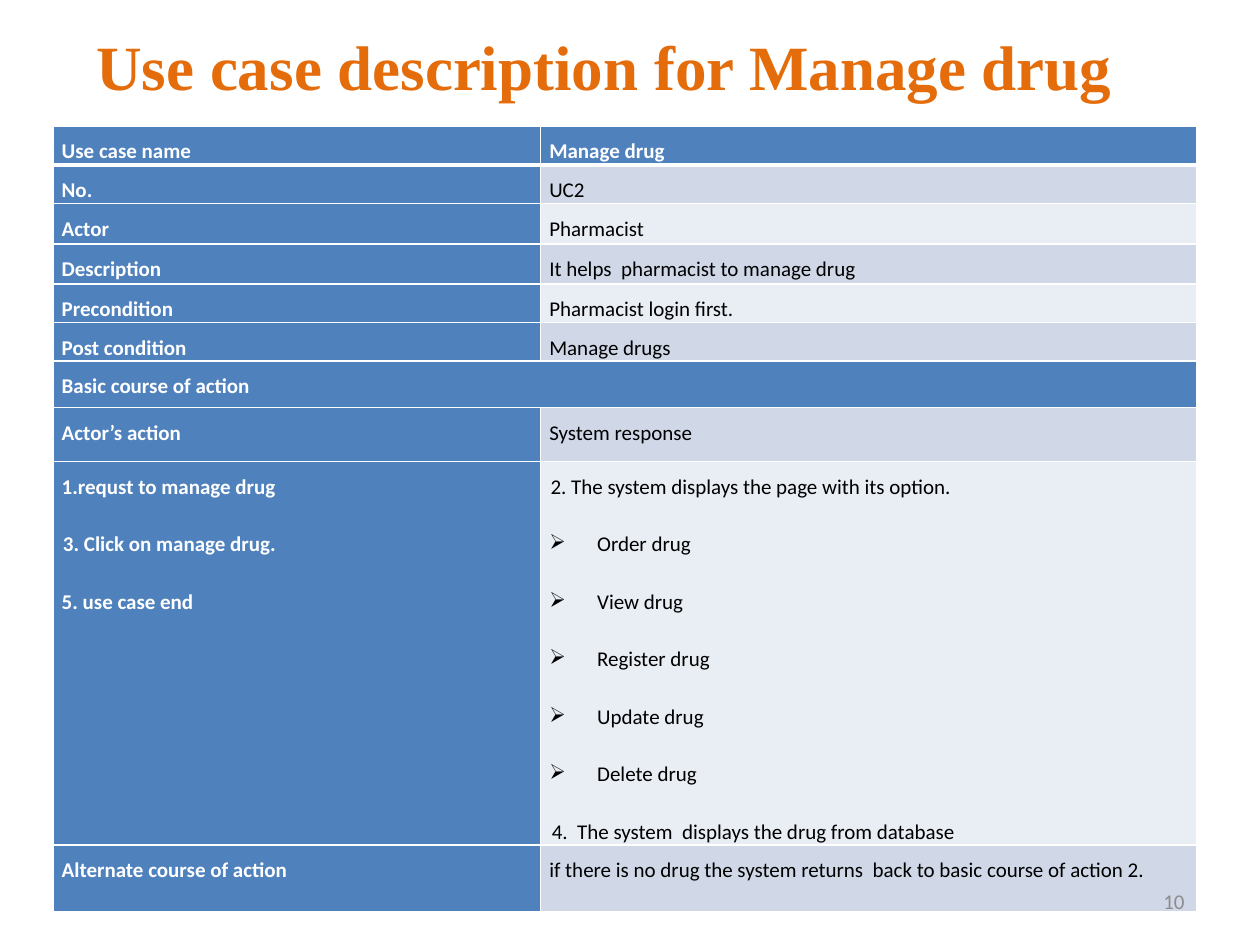
from dataclasses import dataclass

from lxml.etree import SubElement as Sub
from pptx import Presentation
from pptx.dml.color import RGBColor as RGB
from pptx.enum.text import MSO_ANCHOR as Anchor, PP_ALIGN as Align
from pptx.oxml.ns import qn
from pptx.util import Inches, Pt


@dataclass(frozen=True)
class Theme:
    title: str = "E46C0A"
    head: str = "4F81BD"
    bands: tuple = ("E9EDF4", "D0D8E8")
    white: str = "FFFFFF"
    black: str = "000000"
    gray: str = "8C8C8C"
    serif: str = "Times New Roman"
    sans: str = "Calibri"
    big: int = 36
    small: int = 12


@dataclass(frozen=True)
class Line:
    text: str
    after: float = 10
    left: float = 0
    mark: str = ""


THEME = Theme()
COLS = (3.87, 5.21)
HANG = 0.38
OPTIONS = ("Order drug", "View drug", "Register drug", "Update drug", "Delete drug")

# Row height, left cell, right cell (None: the left cell spans both columns)
ROWS = (
    (0.31, "Use case name", "Manage drug"),
    (0.29, "No.", "UC2"),
    (0.32, "Actor", "Pharmacist"),
    (0.32, "Description", "It helps  pharmacist to manage drug"),
    (0.29, "Precondition", "Pharmacist login first."),
    (0.29, "Post condition", "Manage drugs"),
    (0.37, "Basic course of action", None),
    (0.43, "Actor’s action", "System response"),
    (
        2.92,
        (
            Line("1.requst to manage drug", 10.9),
            Line("3. Click on manage drug.", 10.9, 0.01),
            Line("5. use case end"),
        ),
        (
            Line("2. The system displays the page with its option.", 10.9, 0.01),
            *(Line(name, 10.9, HANG, "➢") for name in OPTIONS),
            Line("4.  The system  displays the drug from database", 10.1, 0.02),
        ),
    ),
    (0.53, "Alternate course of action",
     "if there is no drug the system returns  back to basic course of action 2."),
)


def style(para, size, face, color, bold=False):
    for run in para.runs:
        font = run.font
        font.size, font.name, font.bold = Pt(size), face, bold
        font.color.rgb = RGB.from_string(color)


def add_title(slide, text):
    title = slide.shapes.title
    title.left, title.top = Inches(0.42), Inches(0.03)
    title.width, title.height = Inches(8.75), Inches(0.97)
    frame = title.text_frame
    frame.text = text
    frame.vertical_anchor = Anchor.MIDDLE
    para = frame.paragraphs[0]
    para.alignment = Align.CENTER
    style(para, THEME.big, THEME.serif, THEME.title, True)


def set_edges(cell, base):
    props = cell._tc.get_or_add_tcPr()
    for side, width in (("L", 1), ("R", 1), ("T", 1), ("B", base)):
        edge = Sub(props, qn(f"a:ln{side}"), w=str(Pt(width)))
        Sub(Sub(edge, qn("a:solidFill")), qn("a:srgbClr"), val=THEME.white)


def set_line(para, line, color, bold):
    para.text = line.text
    para.alignment = Align.JUSTIFY
    para.line_spacing = 1.5
    para.space_after = Pt(line.after)
    props = para._p.get_or_add_pPr()
    props.set("marL", str(Inches(line.left)))
    props.set("indent", str(-Inches(line.left) if line.mark else 0))
    if line.mark:
        Sub(props, qn("a:buChar"), char=line.mark)
    style(para, THEME.small, THEME.sans, color, bold)


def fill_cell(cell, item, fill, head, base):
    cell.margin_left = cell.margin_right = Inches(0.07)
    cell.margin_top = cell.margin_bottom = 0
    set_edges(cell, base)
    cell.fill.solid()
    cell.fill.fore_color.rgb = RGB.from_string(fill)
    lines = (Line(item),) if isinstance(item, str) else item
    frame = cell.text_frame
    for i, line in enumerate(lines):
        para = frame.add_paragraph() if i else frame.paragraphs[0]
        set_line(para, line, THEME.white if head else THEME.black, head)


def add_grid(slide):
    frame = slide.shapes.add_table(
        len(ROWS), len(COLS), Inches(0.42), Inches(1),
        Inches(sum(COLS)), Inches(sum(row[0] for row in ROWS)))
    table = frame.table
    table.first_col = True
    for col, width in zip(table.columns, COLS):
        col.width = Inches(width)
    for r, (height, *items) in enumerate(ROWS):
        table.rows[r].height = Inches(height)
        if items[1] is None:
            table.cell(r, 0).merge(table.cell(r, 1))
        for c, item in enumerate(items):
            head = r == 0 or c == 0
            fill = THEME.head if head or item is None else THEME.bands[r % 2]
            fill_cell(table.cell(r, c), item or (), fill, head, 1 if r else 3)


def add_number(slide, text):
    box = slide.shapes.add_textbox(
        Inches(7.17), Inches(6.95), Inches(2.33), Inches(0.4))
    frame = box.text_frame
    frame.word_wrap = True
    frame.vertical_anchor = Anchor.MIDDLE
    frame.text = text
    para = frame.paragraphs[0]
    para.alignment = Align.RIGHT
    style(para, THEME.small, THEME.sans, THEME.gray)


def main():
    deck = Presentation()
    deck.slide_width, deck.slide_height = Inches(10), Inches(7.5)
    slide = deck.slides.add_slide(deck.slide_layouts[5])
    add_title(slide, "Use case description for Manage drug")
    add_grid(slide)
    add_number(slide, "10")
    deck.save("out.pptx")


if __name__ == "__main__":
    main()
